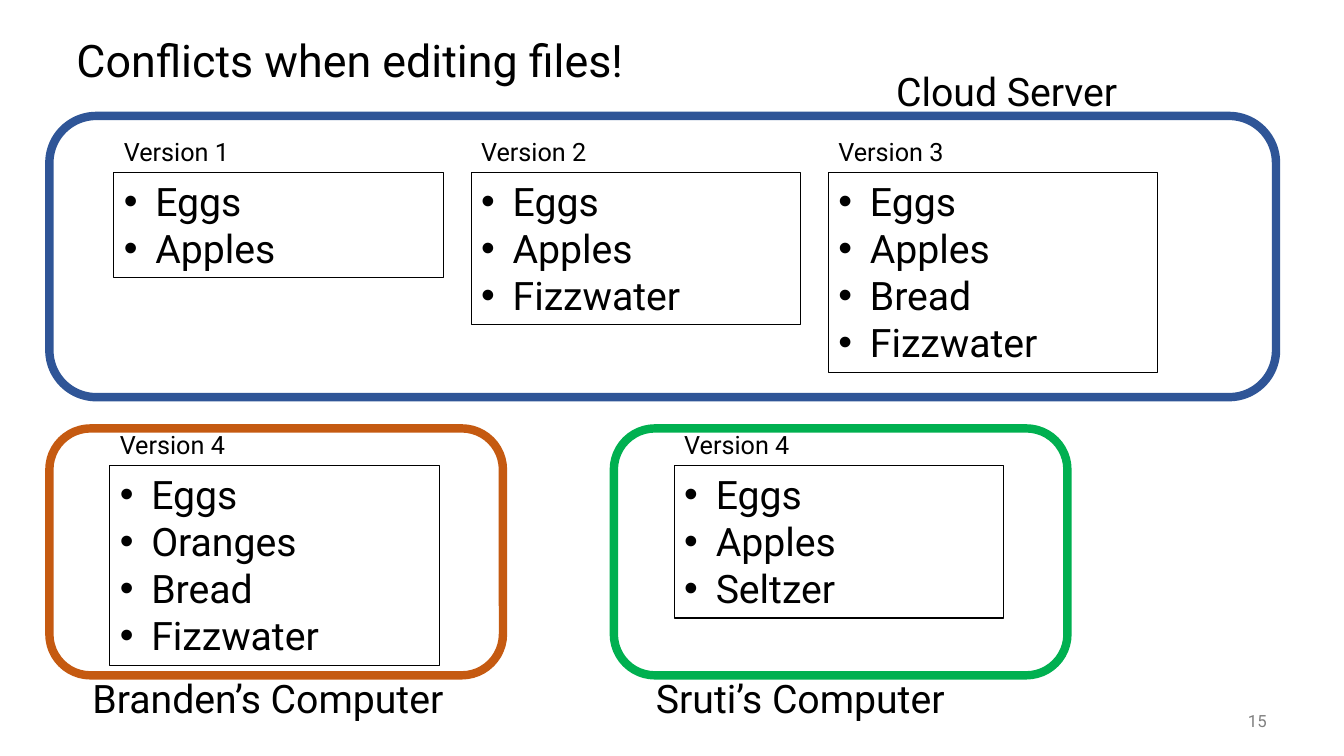
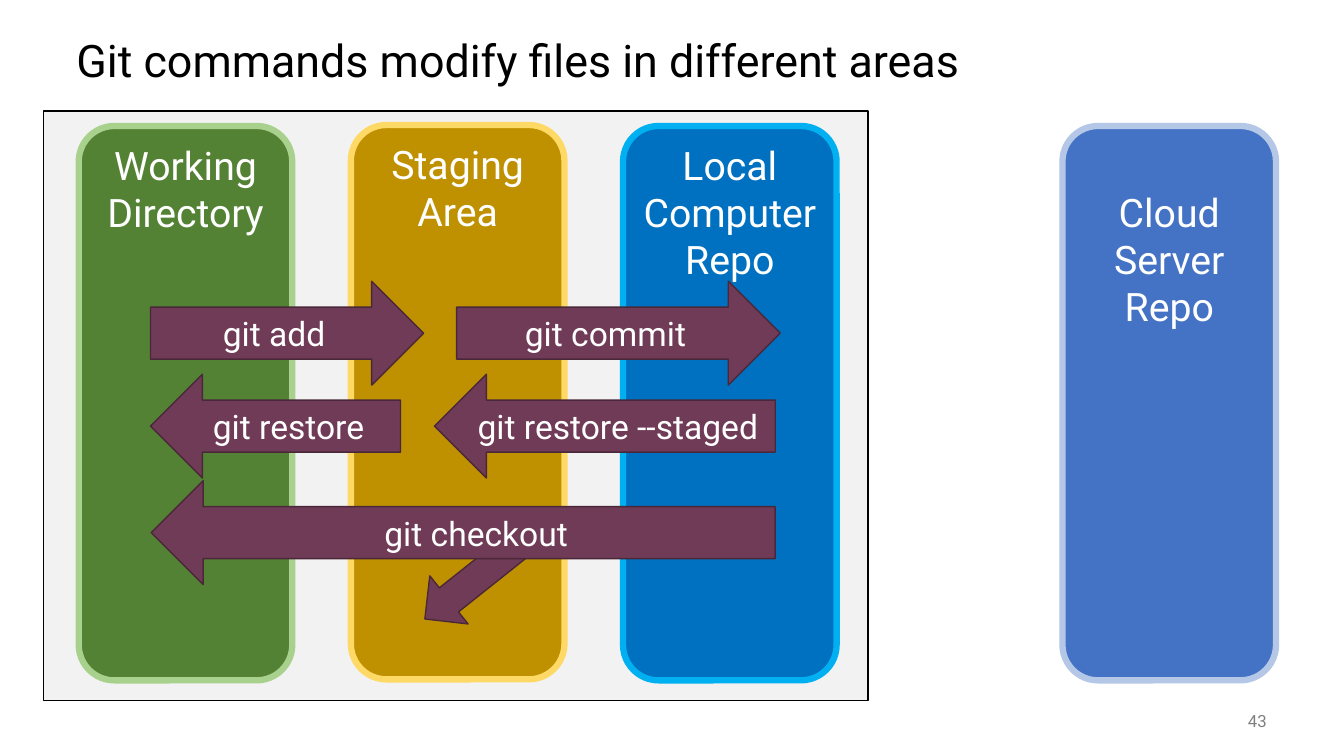
import pptx
import pptx.util
import pptx.dml.color
import pptx.enum.shapes
import pptx.enum.text
import pptx.oxml.ns
from lxml import etree

Pt = pptx.util.Pt
RGBColor = pptx.dml.color.RGBColor
SHAPE = pptx.enum.shapes.MSO_SHAPE
ALIGN = pptx.enum.text.PP_ALIGN
ANCHOR = pptx.enum.text.MSO_ANCHOR

FONT = "Roboto"
BLACK = RGBColor(0x00, 0x00, 0x00)
WHITE = RGBColor(0xFF, 0xFF, 0xFF)
GRAY = RGBColor(0x80, 0x80, 0x80)
PALE_GRAY = RGBColor(0xF2, 0xF2, 0xF2)
NAVY = RGBColor(0x2F, 0x55, 0x97)
ORANGE = RGBColor(0xC5, 0x5A, 0x11)
GREEN = RGBColor(0x00, 0xB0, 0x50)
BLUE = RGBColor(0x44, 0x72, 0xC4)
LIGHT_BLUE = RGBColor(0xB4, 0xC7, 0xE7)
STRONG_BLUE = RGBColor(0x00, 0x70, 0xC0)
SKY = RGBColor(0x00, 0xB0, 0xF0)
GOLD = RGBColor(0xBF, 0x90, 0x00)
LIGHT_GOLD = RGBColor(0xFF, 0xD9, 0x66)
FOREST = RGBColor(0x54, 0x82, 0x35)
LIGHT_GREEN = RGBColor(0xA9, 0xD1, 0x8E)
PLUM = RGBColor(0x70, 0x3B, 0x56)
DARK_PLUM = RGBColor(0x4A, 0x28, 0x39)


def write(box, lines, size, color=BLACK, align=ALIGN.LEFT, anchor=ANCHOR.TOP,
          bulleted=False, line_spacing=None):
    frame = box.text_frame
    frame.word_wrap = True
    frame.vertical_anchor = anchor
    for i, line in enumerate(lines):
        paragraph = frame.add_paragraph() if i else frame.paragraphs[0]
        paragraph.alignment = align
        if line_spacing:
            paragraph.line_spacing = line_spacing
        if bulleted:
            props = paragraph._p.get_or_add_pPr()
            props.set("marL", str(Pt(22.5)))
            props.set("indent", str(-Pt(22.5)))
            etree.SubElement(props, pptx.oxml.ns.qn("a:buFont"), typeface="Arial")
            etree.SubElement(props, pptx.oxml.ns.qn("a:buChar"), char="•")
        run = paragraph.add_run()
        run.text = line
        run.font.name = FONT
        run.font.size = Pt(size)
        run.font.color.rgb = color


def draw(slide, kind, left, top, width, height, line, weight, fill=None):
    shape = slide.shapes.add_shape(kind, Pt(left), Pt(top), Pt(width), Pt(height))
    shape.shadow.inherit = False
    if fill is None:
        shape.fill.background()
    else:
        shape.fill.solid()
        shape.fill.fore_color.rgb = fill
    shape.line.color.rgb = line
    shape.line.width = Pt(weight)
    return shape


deck = pptx.Presentation()
deck.slide_width, deck.slide_height = Pt(960), Pt(540)

# Titles and page numbers
slides = []
for title, number in [("Conflicts when editing files!", "15"),
                      ("Git commands modify files in different areas", "43")]:
    slide = deck.slides.add_slide(deck.slide_layouts[6])
    heading = slide.shapes.add_textbox(Pt(47.5), Pt(18), Pt(864), Pt(54))
    write(heading, [title], 32, anchor=ANCHOR.MIDDLE, line_spacing=0.9)
    page = slide.shapes.add_textbox(Pt(840), Pt(500.4), Pt(72), Pt(28.8))
    write(page, [number], 12, GRAY, ALIGN.RIGHT, ANCHOR.MIDDLE)
    slides.append(slide)
conflicts, commands = slides

# Conflicts: machines and their names
machines = [
    ("Cloud Server", 633, 44.6, 35.3, 82.8, 876.2, 200.9, NAVY),
    ("Branden’s Computer", 59, 478, 35.3, 306, 324, 176.4, ORANGE),
    ("Sruti’s Computer", 461.5, 478, 438.5, 306, 324, 176.4, GREEN),
]
for name, name_left, name_top, left, top, width, height, color in machines:
    draw(conflicts, SHAPE.ROUNDED_RECTANGLE, left, top, width, height, color, 6)
    label = conflicts.shapes.add_textbox(Pt(name_left), Pt(name_top), Pt(288), Pt(41))
    write(label, [name], 28)

# Conflicts: file versions, each as tall as its list
CLOUD_LEFT, CLOUD_STEP, CLOUD_TOP, LOCAL_TOP = 81.4, 255.2, 93.6, 303.1
versions = [
    ("Version 1", CLOUD_LEFT, CLOUD_TOP, ["Eggs", "Apples"]),
    ("Version 2", CLOUD_LEFT + CLOUD_STEP, CLOUD_TOP, ["Eggs", "Apples", "Fizzwater"]),
    ("Version 3", CLOUD_LEFT + 2 * CLOUD_STEP, CLOUD_TOP,
     ["Eggs", "Apples", "Bread", "Fizzwater"]),
    ("Version 4", 78.5, LOCAL_TOP, ["Eggs", "Oranges", "Bread", "Fizzwater"]),
    ("Version 4", 481.7, LOCAL_TOP, ["Eggs", "Apples", "Seltzer"]),
]
for version, left, top, groceries in versions:
    file_box = draw(conflicts, SHAPE.RECTANGLE, left, top + 29.5, 235.4,
                    34.1 * len(groceries) + 6.6, BLACK, 0.75)
    write(file_box, groceries, 28, bulleted=True)
    label = conflicts.shapes.add_textbox(Pt(left), Pt(top), Pt(235.4), Pt(29))
    write(label, [version], 18)

# Commands: local computer and the four areas
draw(commands, SHAPE.RECTANGLE, 31, 79.2, 589, 421.2, BLACK, 1, PALE_GRAY)
areas = [
    ("Cloud Server Repo", 758.9, 90, 37.2, BLUE, LIGHT_BLUE),
    ("Local Computer Repo", 445, 90, 3.6, STRONG_BLUE, SKY),
    ("Staging Area", 250.6, 89.3, 3.6, GOLD, LIGHT_GOLD),
    ("Working Directory", 56.2, 90, 3.6, FOREST, LIGHT_GREEN),
]
for name, left, top, margin, fill, line in areas:
    area = draw(commands, SHAPE.ROUNDED_RECTANGLE, left, top, 152.6, 396, line, 4.5, fill)
    area.text_frame.margin_top = Pt(margin)
    area.text_frame.margin_left = area.text_frame.margin_right = Pt(6)
    write(area, [name], 28, WHITE, ALIGN.CENTER)

# Commands: arrows between areas
branch = draw(commands, SHAPE.LEFT_ARROW, 293.8, 392.4, 89.3, 43.9, DARK_PLUM, 1, PLUM)
branch.rotation = 321.5
arrows = [
    ("git add", SHAPE.RIGHT_ARROW, 107.5, 200.9, 195.1),
    ("git commit", SHAPE.RIGHT_ARROW, 326.2, 200.9, 231.1),
    ("git restore", SHAPE.LEFT_ARROW, 107.5, 267.3, 178.6),
    ("git restore --staged", SHAPE.LEFT_ARROW, 310.3, 267.3, 243.4),
    ("git checkout", SHAPE.LEFT_ARROW, 108, 343.4, 445.7),
]
for command, kind, left, top, width in arrows:
    arrow = draw(commands, kind, left, top, width, 74.2, DARK_PLUM, 1, PLUM)
    write(arrow, [command], 24, WHITE, ALIGN.CENTER, ANCHOR.MIDDLE)

deck.save("out.pptx")
